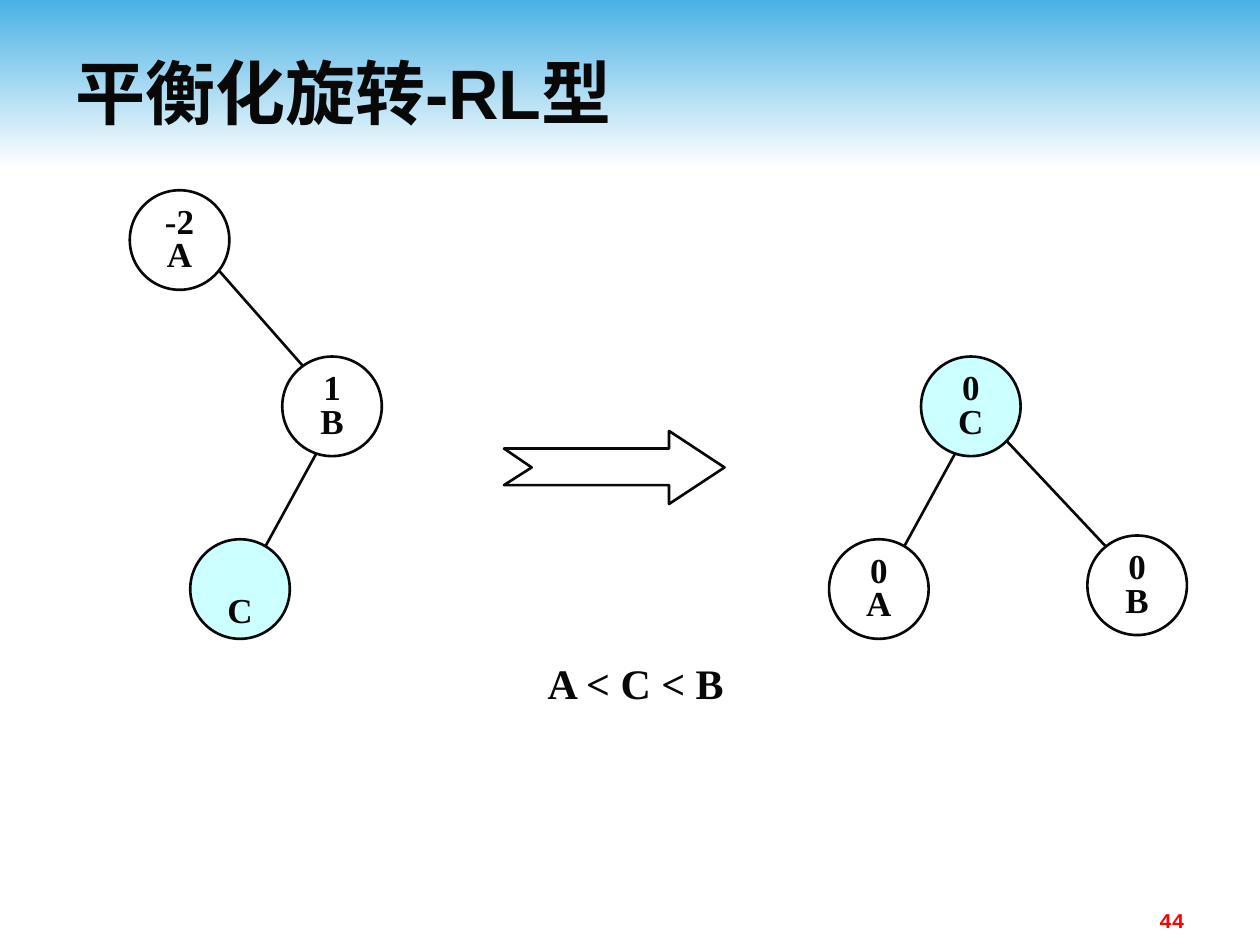
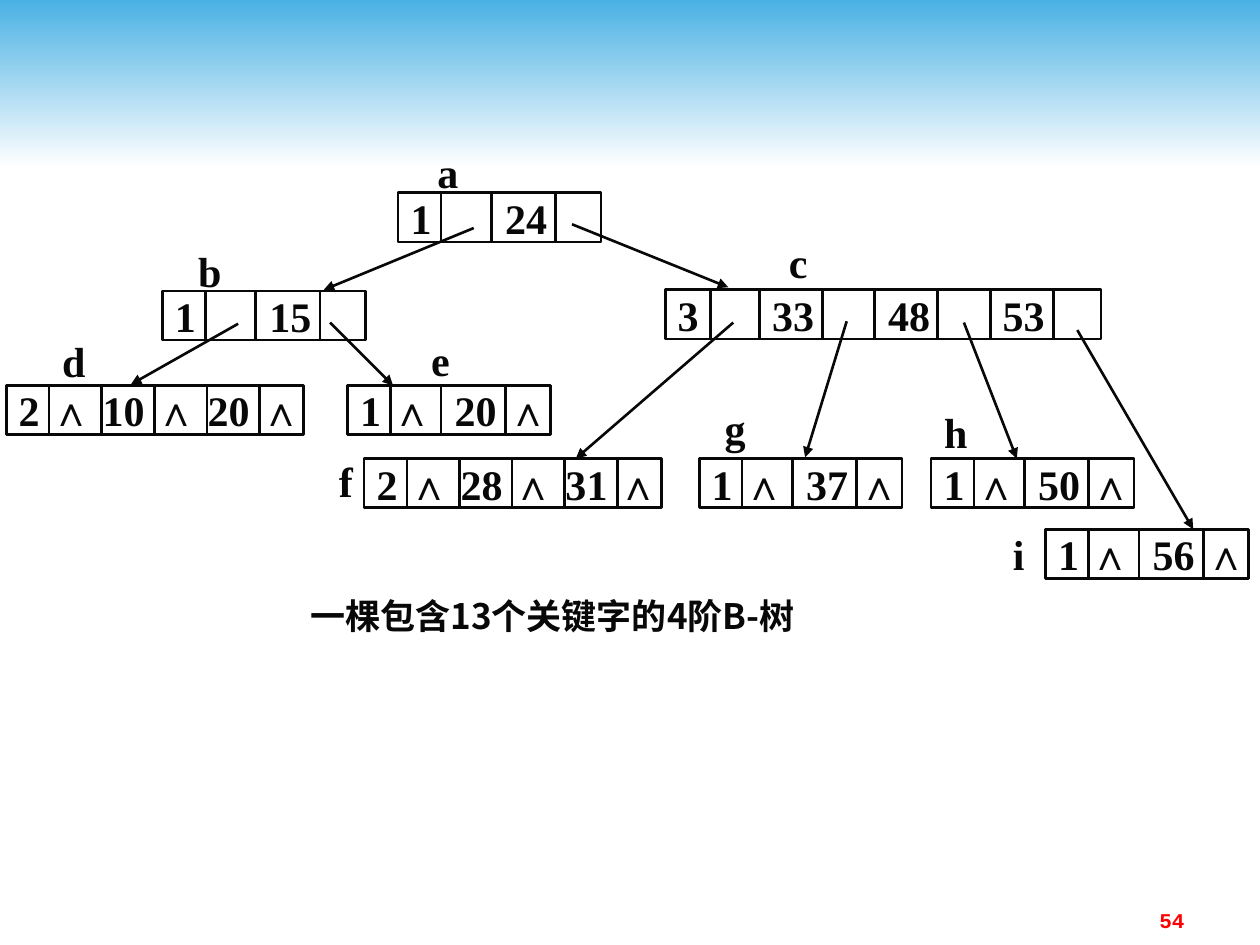
import pptx
import pptx.dml.color
import pptx.enum.dml
import pptx.enum.shapes
import pptx.enum.text
import pptx.oxml.ns
import pptx.util
import lxml.etree

Inches = pptx.util.Inches
Pt = pptx.util.Pt
RGBColor = pptx.dml.color.RGBColor
SHAPE = pptx.enum.shapes.MSO_SHAPE
ALIGN = pptx.enum.text.PP_ALIGN
ANCHOR = pptx.enum.text.MSO_ANCHOR
qn = pptx.oxml.ns.qn

INK = RGBColor(0x08, 0x08, 0x08)
RED = RGBColor(0xFF, 0x00, 0x00)
SKY = RGBColor(0x4A, 0xB1, 0xE4)
WHITE = RGBColor(0xFF, 0xFF, 0xFF)
AQUA = RGBColor(0xCC, 0xFF, 0xFF)

SERIF = "Times New Roman"
HAN = "Noto Sans CJK SC"

DISC = 0.79
ROW = 0.39
KEY_TABS = (0.75, 1.67, 2.58)
# Node width and the offsets of its inner lines, by kind of node
NODES = {
    1: (1.61, (0.34, 0.74, 1.25)),
    2: (2.36, [0.34 + 1.67 * i / 4 for i in range(5)]),
    3: (3.46, (0.36, 0.75, 1.25, 1.66, 2.16, 2.58, 3.08)),
}


class Deck:
    def __init__(self):
        self.file = pptx.Presentation()
        self.file.slide_width = Inches(10)
        self.file.slide_height = Inches(7.5)

    def start(self, page):
        """Begin a slide with the shared band and page number."""
        self.slide = self.file.slides.add_slide(self.file.slide_layouts[6])
        self.shapes = self.slide.shapes
        band = self.shape(SHAPE.RECTANGLE, 0, 0, 10, 1.33)
        band.line.fill.background()
        band.fill.gradient()
        band.fill.gradient_angle = 270
        for stop, color, place in zip(band.fill.gradient_stops, (SKY, WHITE), (0, 1)):
            stop.color.rgb = color
            stop.position = place
        self.text(str(page), 7.17, 7.15, 2.33, 0.27, size=12, font="Courier New",
                  color=RED, align=ALIGN.RIGHT, anchor=ANCHOR.TOP, inset=(0.1, 0.05))

    def title(self, words):
        self.text(words, 0.5, 0.25, 9, 0.95, size=40, font="Arial", han=HAN,
                  align=ALIGN.LEFT, inset=(0.1, 0.05))

    def outline(self, shape, fill=None):
        shape.shadow.inherit = False
        if fill is None:
            shape.fill.background()
        else:
            shape.fill.solid()
            shape.fill.fore_color.rgb = fill
        shape.line.color.rgb = INK
        shape.line.width = Pt(1.5)
        return shape

    def shape(self, kind, x, y, wide, high, fill=None):
        shape = self.shapes.add_shape(
            kind, Inches(x), Inches(y), Inches(wide), Inches(high))
        return self.outline(shape, fill)

    def label(self, shape, words, size=24, font=SERIF, han=None, color=INK,
              align=ALIGN.CENTER, anchor=ANCHOR.MIDDLE, inset=(0, 0),
              space=None, tabs=()):
        """Put styled words into a shape."""
        frame = shape.text_frame
        frame.text = words
        frame.word_wrap = True
        frame.vertical_anchor = anchor
        frame.margin_left = frame.margin_right = Inches(inset[0])
        frame.margin_top = frame.margin_bottom = Inches(inset[1])
        for para in frame.paragraphs:
            para.alignment = align
            if space:
                para.line_spacing = space
            if tabs:
                stops = lxml.etree.SubElement(para._p.get_or_add_pPr(), qn("a:tabLst"))
                for tab in tabs:
                    lxml.etree.SubElement(stops, qn("a:tab"), pos=str(Inches(tab)), algn="l")
            for run in para.runs:
                run.font.size = Pt(size)
                run.font.name = font
                run.font.bold = True
                run.font.color.rgb = color
                if han:
                    lxml.etree.SubElement(run._r.get_or_add_rPr(), qn("a:ea"), typeface=han)

    def text(self, words, x, y, wide, high, **style):
        box = self.shapes.add_textbox(Inches(x), Inches(y), Inches(wide), Inches(high))
        self.label(box, words, **style)

    def line(self, x1, y1, x2, y2, arrow=False):
        line = self.shapes.add_connector(
            pptx.enum.shapes.MSO_CONNECTOR.STRAIGHT,
            Inches(x1), Inches(y1), Inches(x2), Inches(y2))
        line.line.color.rgb = INK
        line.line.width = Pt(1.5)
        props = line._element.spPr
        if arrow:
            lxml.etree.SubElement(props.get_or_add_ln(), qn("a:tailEnd"), type="triangle")
        lxml.etree.SubElement(props, qn("a:effectLst"))

    def outer(self, points):
        """Draw a closed outline through the points."""
        first, *rest = [(Inches(x), Inches(y)) for x, y in points]
        pen = self.shapes.build_freeform(*first)
        pen.add_line_segments(rest, close=True)
        self.outline(pen.convert_to_shape())

    def disc(self, x, y, name, factor=None, fill=None):
        """Draw a tree node with its balance factor above its name."""
        disc = self.shape(SHAPE.OVAL, x, y, DISC, DISC, fill)
        words = name if factor is None else f"{factor}\n{name}"
        self.label(disc, words, size=20, anchor=ANCHOR.TOP, space=0.8)
        disc.text_frame.margin_top = Inches(0.34 if factor is None else 0.02)

    def node(self, x, y, kind, words):
        """Draw a B-tree node split into count, pointer and key cells."""
        wide, cuts = NODES[kind]
        box = self.shape(SHAPE.RECTANGLE, x, y, wide, ROW)
        self.label(box, words, align=ALIGN.LEFT, inset=(0.1, 0), tabs=KEY_TABS)
        box.text_frame.margin_right = 0
        for cut in cuts:
            self.line(x + cut, y, x + cut, y + ROW)


def draw_turn(deck):
    deck.start(44)
    deck.title("平衡化旋转-RL型")
    for disc in (
        (1.03, 1.51, "A", -2),
        (2.24, 2.83, "B", 1),
        (1.51, 4.28, "C", None, AQUA),
        (8.63, 4.25, "B", 0),
        (7.31, 2.83, "C", 0, AQUA),
        (6.58, 4.28, "A", 0),
    ):
        deck.disc(*disc)
    for edge in (
        (1.74, 2.15, 2.4, 2.9),
        (2.51, 3.6, 2.11, 4.33),
        (7.99, 3.5, 8.77, 4.33),
        (7.58, 3.6, 7.18, 4.33),
    ):
        deck.line(*edge)
    deck.outer([(4, 3.56), (5.31, 3.56), (5.31, 3.42), (5.75, 3.71),
                (5.31, 4), (5.31, 3.85), (4, 3.85), (4.22, 3.71)])
    deck.text("A < C < B", 3.42, 5.17, 3.25, 0.5, anchor=ANCHOR.TOP, inset=(0.1, 0.05))


def draw_tree(deck):
    deck.start(54)
    # Name, its corner, then the node's corner, kind and text
    for name, left, top, *node in (
        ("a", 3.36, 1.17, 3.16, 1.53, 1, "1\t24"),
        ("b", 1.47, 1.95, 1.29, 2.31, 1, "1\t15"),
        ("c", 6.14, 1.88, 5.28, 2.3, 3, "3\t33\t48\t53"),
        ("d", 0.39, 2.67, 0.05, 3.06, 2, "2 ∧ 10 ∧ 20 ∧"),
        ("e", 3.3, 2.66, 2.76, 3.06, 1, "1 ∧\t20 ∧"),
        ("f", 2.55, 3.62, 2.89, 3.64, 2, "2 ∧ 28 ∧ 31 ∧"),
        ("g", 5.64, 3.2, 5.55, 3.64, 1, "1 ∧\t37 ∧"),
        ("h", 7.39, 3.23, 7.39, 3.64, 1, "1 ∧\t50 ∧"),
        ("i", 7.89, 4.2, 8.3, 4.2, 1, "1 ∧\t56 ∧"),
    ):
        deck.text(name, left, top, ROW, ROW)
        deck.node(*node)
    for link in (
        (3.76, 1.81, 2.57, 2.3),
        (4.54, 1.78, 5.78, 2.28),
        (1.89, 2.57, 1.04, 3.05),
        (2.62, 2.56, 3.12, 3.06),
        (5.82, 2.56, 4.57, 3.64),
        (6.72, 2.55, 6.39, 3.63),
        (7.65, 2.56, 8.07, 3.64),
        (8.55, 2.62, 9.47, 4.2),
    ):
        deck.line(*link, arrow=True)
    deck.text("一棵包含13个关键字的4阶B-树", 1.8, 4.69, 5.17, ROW,
              size=20, font=HAN, han=HAN)


def main():
    deck = Deck()
    draw_turn(deck)
    draw_tree(deck)
    deck.file.save("out.pptx")


if __name__ == "__main__":
    main()
